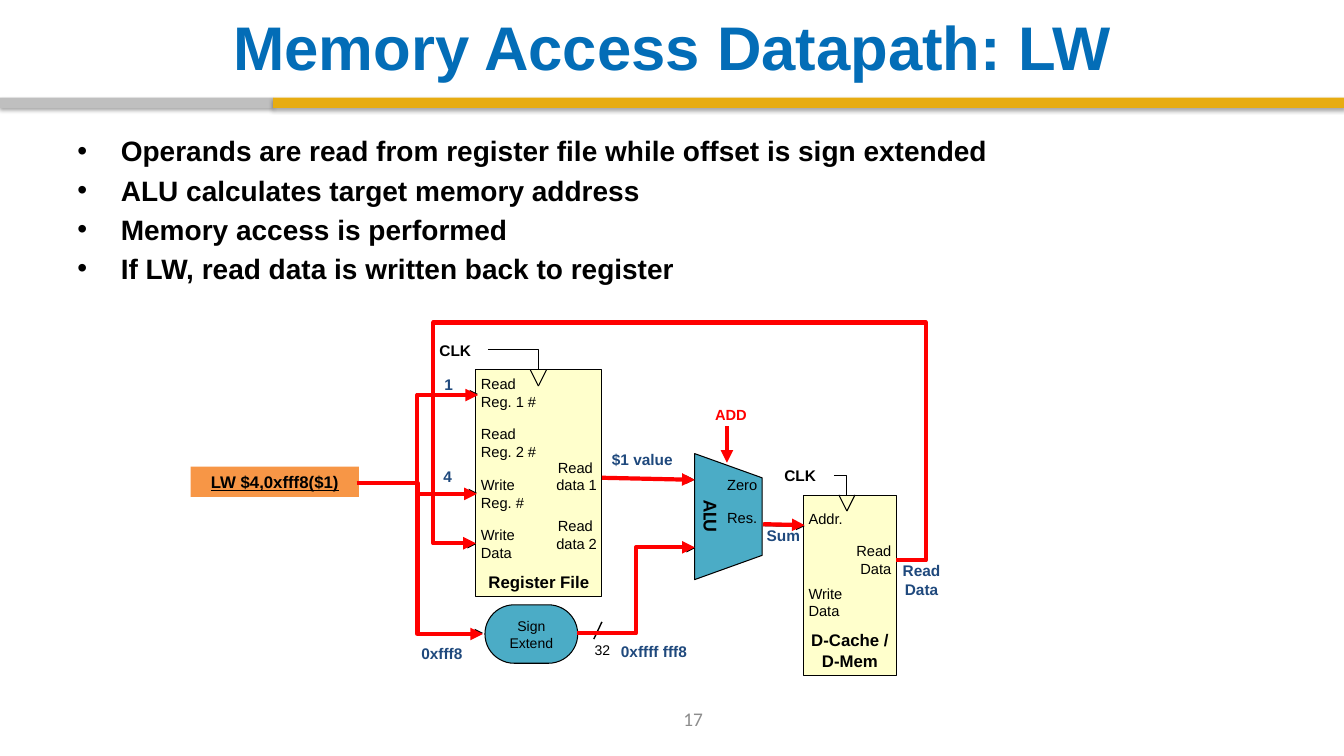
"""Build the slide on the load-word memory access datapath."""
import pptx
import pptx.dml.color
import pptx.enum.shapes
import pptx.enum.text
import pptx.oxml.ns
import pptx.util
from lxml import etree

Inches, Pt = pptx.util.Inches, pptx.util.Pt
qn = pptx.oxml.ns.qn
Kind = pptx.enum.shapes.MSO_SHAPE
Link = pptx.enum.shapes.MSO_CONNECTOR
Align = pptx.enum.text.PP_ALIGN
Anchor = pptx.enum.text.MSO_ANCHOR

BLUE, GOLD, NAVY, RED, BLACK = "036DB7", "E7AC11", "1F497D", "FF0000", "000000"
CREAM, TEAL = "FFFFCC", "4BACC6"

TITLE = "Memory Access Datapath: LW"
POINTS = [
    "Operands are read from register file while offset is sign extended",
    "ALU calculates target memory address",
    "Memory access is performed",
    "If LW, read data is written back to register",
]
BARS = [(0, 2.71, "BFBFBF"), (2.71, 10.62, GOLD)]

BLOCKS = [
    ("Register File", Kind.RECTANGLE, (4.72, 3.67, 1.25, 2.25), CREAM,
     dict(size=12, bold=True, anchor="b", wrap=False)),
    ("Sign Extend", Kind.ROUNDED_RECTANGLE, (4.81, 6, 0.92, 0.58), TEAL,
     dict(size=10, anchor="m", adj=0.5)),
    ("ALU", Kind.TRAPEZOID, (6.6, 4.79, 1.25, 0.67), TEAL,
     dict(size=14, bold=True, font="Calibri", anchor="m", top=0.3,
          adj=0.359, turn=90)),
    ("D-Cache /\nD-Mem", Kind.RECTANGLE, (7.97, 4.92, 0.92, 1.78), CREAM,
     dict(size=12, bold=True, anchor="b", wrap=False)),
    ("LW $4,0xfff8($1)", Kind.RECTANGLE, (1.89, 4.63, 1.67, 0.3), "F79646",
     dict(size=12, bold=True, under=True, edge=None)),
]

INPUTS = ["Read \vReg. 1 #", "Read \vReg. 2 #", "Write\vReg. #", "Write \vData"]
PORTS = [(text, (4.72, 3.67 + 0.5 * row, 0.83, 0.45), "l")
         for row, text in enumerate(INPUTS)] + [
    ("Read \vdata 1", (5.39, 4.5, 0.58, 0.45), "r"),
    ("Read \vdata 2", (5.39, 5.08, 0.58, 0.45), "r"),
    ("Res.", (7.06, 5, 0.5, 0.28), "r"),
    ("Zero", (7.06, 4.67, 0.5, 0.28), "r"),
    ("Addr.", (7.97, 5.01, 0.75, 0.28), "l"),
    ("Read Data", (8.39, 5.33, 0.5, 0.45), "r"),
    ("Write Data", (7.97, 5.75, 0.5, 0.45), "l"),
]
VALUES = [
    ("$1 value", (5.97, 4.42, 0.92, 0.29), "l", 0.1),
    ("0xffff fff8", (6.06, 6.32, 0.92, 0.29), "l", 0.1),
    ("Sum", (7.56, 5.17, 0.42, 0.29), "c", 0),
    ("Read Data", (8.85, 5.52, 0.58, 0.47), "c", 0),
    ("1", (4.31, 3.67, 0.33, 0.29), "l", 0.1),
    ("4", (4.3, 4.58, 0.33, 0.29), "l", 0.1),
    ("0xfff8", (4.08, 6.34, 0.92, 0.29), "l", 0.1),
]
WIRES = [
    (0, [(5.97, 4.74), (6.89, 4.76)]),
    (0.01, [(5.72, 6.28), (6.31, 6.28), (6.31, 5.43), (6.89, 5.43)]),
    (0.01, [(7.57, 5.2), (7.98, 5.21)]),
    (-0.01, [(3.57, 4.79), (4.14, 4.79), (4.14, 3.92), (4.74, 3.92)]),
    (-0.01, [(3.56, 4.79), (4.14, 4.79), (4.14, 4.9), (4.73, 4.9)]),
    (-0.01, [(3.54, 4.79), (4.14, 4.79), (4.14, 6.29), (4.79, 6.29)]),
    (0.01, [(8.89, 5.56), (9.18, 5.56), (9.18, 3.2), (4.3, 3.2),
            (4.3, 5.39), (4.72, 5.39)]),
]
CLOCKS = [
    ((4.26, 3.33), (5.34, 3.67), [(4.84, 3.47), (5.34, 3.47), (5.34, 3.67)]),
    ((7.68, 4.57), (8.4, 4.91), [(8.27, 4.72), (8.4, 4.72), (8.4, 4.92)]),
]

deck = pptx.Presentation()
deck.slide_width, deck.slide_height = Inches(13.33), Inches(7.5)
slide = deck.slides.add_slide(deck.slide_layouts[6])
shapes = slide.shapes


def tint(text):
    return pptx.dml.color.RGBColor.from_string(text)


def write(shape, text, size, color=BLACK, bold=False, font="Arial", align="l",
          anchor="t", side=0.1, top=0.05, wrap=True, under=None):
    frame = shape.text_frame
    frame.text = text
    frame.word_wrap = wrap
    frame.margin_left = frame.margin_right = Inches(side)
    frame.margin_top, frame.margin_bottom = Inches(top), Inches(0.05)
    frame.vertical_anchor = {"t": Anchor.TOP, "m": Anchor.MIDDLE,
                             "b": Anchor.BOTTOM}[anchor]
    for para in frame.paragraphs:
        para.alignment = {"l": Align.LEFT, "c": Align.CENTER,
                          "r": Align.RIGHT}[align]
        for run in para.runs:
            run.font.size, run.font.name = Pt(size), font
            run.font.bold, run.font.underline = bold, under
            run.font.color.rgb = tint(color)


def label(text, area, size, **look):
    box = shapes.add_textbox(*map(Inches, area))
    write(box, text, size, **look)
    return box


def block(kind, area, fill, edge=BLACK):
    shape = shapes.add_shape(kind, *map(Inches, area))
    shape.shadow.inherit = False
    shape.fill.solid()
    shape.fill.fore_color.rgb = tint(fill)
    if edge:
        shape.line.color.rgb = tint(edge)
        shape.line.width = Pt(0.75)
    else:
        shape.line.fill.background()
    return shape


def wire(spots, color=BLACK, width=0.75, arrow=False):
    (left, top), (right, low) = spots[0], spots[-1]
    kind = Link.STRAIGHT if len(spots) == 2 else Link.ELBOW
    line = shapes.add_connector(kind, *map(Inches, (left, top, right, low)))
    line.line.color.rgb = tint(color)
    line.line.width = Pt(width)
    props = line.element.spPr
    if len(spots) > 2:
        geom = props.find(qn("a:prstGeom"))
        geom.set("prst", f"bentConnector{len(spots) - 1}")
        for turn, (x, y) in enumerate(spots[1:-2], 1):
            part = (x - left) / (right - left) if turn % 2 else (y - top) / (low - top)
            etree.SubElement(geom.find(qn("a:avLst")), qn("a:gd"),
                             name=f"adj{turn}", fmla=f"val {round(part * 100000)}")
    if arrow:
        etree.SubElement(props.find(qn("a:ln")), qn("a:tailEnd"), type="triangle")
    etree.SubElement(props, qn("a:effectLst"))


def shade(shape):
    glow = etree.SubElement(shape.element.spPr.find(qn("a:effectLst")),
                            qn("a:outerShdw"), blurRad=str(Pt(3.1)),
                            dist=str(Pt(1.8)), dir="5400000", rotWithShape="0")
    hue = etree.SubElement(glow, qn("a:srgbClr"), val=BLACK)
    etree.SubElement(hue, qn("a:alpha"), val="35000")


for left, width, color in BARS:
    shade(block(Kind.RECTANGLE, (left, 0.97, width, 0.1), color, None))

label(TITLE, (0.67, 0.08, 12, 0.76), 44, color=BLUE, bold=True, align="c", anchor="m")
body = label("\n".join(POINTS), (0.67, 1.28, 12, 1.7), 20, bold=True)
for para in body.text_frame.paragraphs:
    para.space_before = Pt(4)
    props = para._p.get_or_add_pPr()
    props.set("marL", str(Inches(0.43)))
    props.set("indent", str(-Inches(0.43)))
    etree.SubElement(props, qn("a:buFont"), typeface="Arial")
    etree.SubElement(props, qn("a:buChar"), char="•")

for text, kind, area, fill, look in BLOCKS:
    look = dict(look)
    shape = block(kind, area, fill, look.pop("edge", BLACK))
    shape.rotation = look.pop("turn", 0)
    if "adj" in look:
        shape.adjustments[0] = look.pop("adj")
    write(shape, text, align="c", **look)

for text, area, align in PORTS:
    label(text, area, 10.5, align=align, side=0.05)
for text, area, align, side in VALUES:
    label(text, area, 11, color=NAVY, bold=True, align=align, side=side)
label("32", (5.81, 6.32, 0.33, 0.27), 10, align="c", side=0.03)
label("ADD", (6.96, 3.98, 0.58, 0.28), 10.5, color=RED, bold=True, align="c", side=0.05)
label("17", (5.32, 6.93, 3.11, 0.4), 13.8, color="8C8C8C", font="Calibri",
      align="c", anchor="m")

wire([(5.89, 6.34), (5.97, 6.17)], width=1)
for shift, spots in WIRES:
    wire([(x, y + shift) for x, y in spots], width=1.5, arrow=True)
for shift, spots in WIRES:
    wire(spots, RED, 3, True)
wire([(7.21, 4.23), (7.21, 4.59)], RED, 3, True)

for spot, (mid, top), lead in CLOCKS:
    label("CLK", (*spot, 0.58, 0.29), 11, bold=True)
    for side in (-0.08, 0.08):
        wire([(mid + side, top), (mid, top + 0.16)])
    wire(lead)

deck.save("out.pptx")
